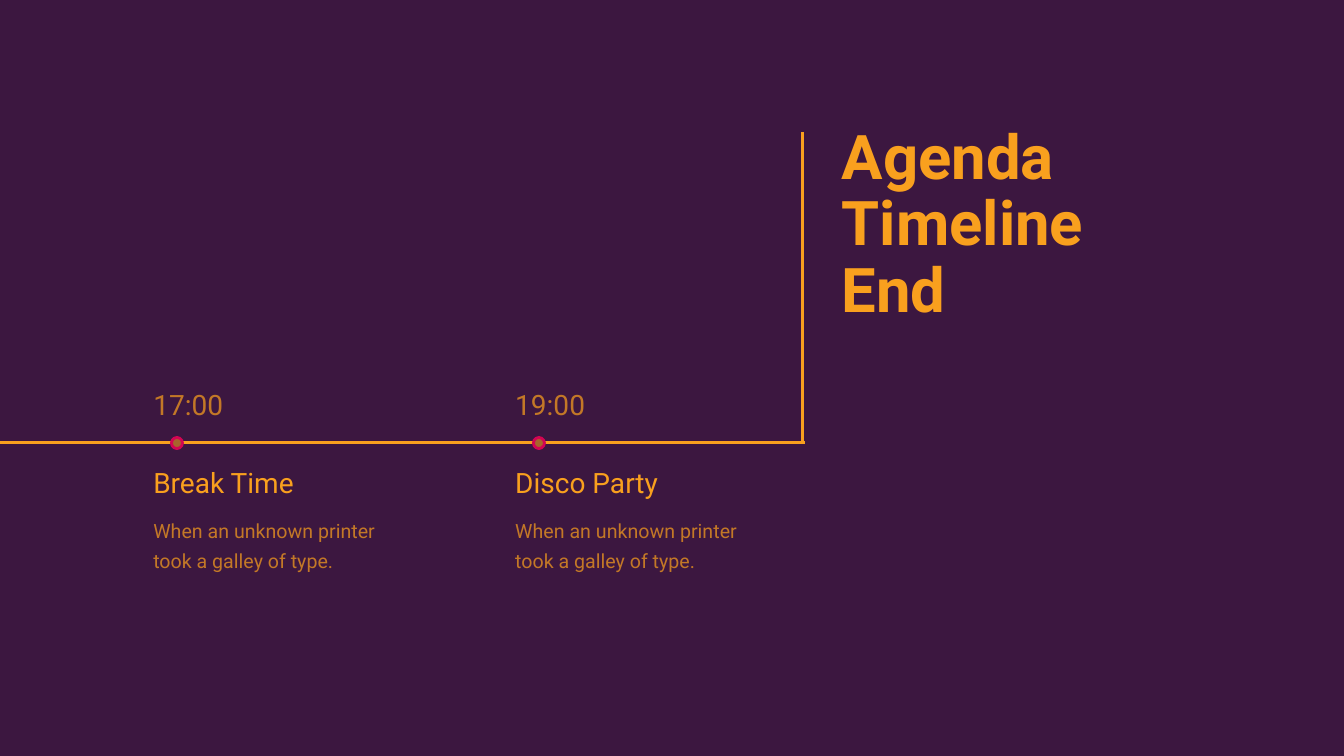
from dataclasses import dataclass

from lxml import etree
from pptx import Presentation
from pptx.dml.color import RGBColor
from pptx.enum import shapes, text
from pptx.oxml import ns
from pptx.util import Inches, Pt


@dataclass(frozen=True)
class Theme:
    font: str = "Roboto"
    background: str = "3C1740"
    accent: str = "F9A01E"
    muted: str = "C37827"
    dot_fill: str = "A8652C"
    dot_line: str = "D30553"
    title_size: int = 44
    heading_size: int = 20
    body_size: int = 14
    line_width: int = 2


def rgb(value):
    return RGBColor.from_string(value)


class SlideBuilder:
    def __init__(self, slide, theme):
        self.s = slide
        self.theme = theme
        fill = slide.background.fill
        fill.solid()
        fill.fore_color.rgb = rgb(theme.background)

    def line(self, x1, y1, x2, y2):
        c = self.s.shapes.add_connector(
            shapes.MSO_CONNECTOR.STRAIGHT,
            Inches(x1), Inches(y1), Inches(x2), Inches(y2))
        c.line.color.rgb = rgb(self.theme.accent)
        c.line.width = Pt(self.theme.line_width)
        etree.SubElement(c.line._get_or_add_ln().getparent(), ns.qn("a:effectLst"))

    def text_box(self, parent, x, y, w, h):
        tf = parent.add_textbox(Inches(x), Inches(y), Inches(w), Inches(h)).text_frame
        tf.word_wrap = True
        tf.auto_size = text.MSO_AUTO_SIZE.SHAPE_TO_FIT_TEXT
        tf.margin_left = tf.margin_right = Inches(0.05)
        tf.margin_top = tf.margin_bottom = Inches(0.05)
        return tf

    def style(self, p, size, color, spacing, bold=False):
        p.line_spacing = spacing
        for r in p.runs:
            r.font.name = self.theme.font
            r.font.size = Pt(size)
            r.font.bold = bold
            r.font.color.rgb = rgb(color)

    def title(self, words, x, y, w, h):
        tf = self.text_box(self.s.shapes, x, y, w, h)
        tf.text = "\n".join(words)
        for p in tf.paragraphs:
            self.style(p, self.theme.title_size, self.theme.accent, 0.9, bold=True)

    def dot(self, parent, x, y, size):
        sp = parent.add_shape(shapes.MSO_SHAPE.OVAL, Inches(x), Inches(y),
                              Inches(size), Inches(size))
        sp.shadow.inherit = False
        sp.fill.solid()
        sp.fill.fore_color.rgb = rgb(self.theme.dot_fill)
        sp.line.color.rgb = rgb(self.theme.dot_line)
        sp.line.width = Pt(self.theme.line_width)

    def event(self, x, time, heading, detail):
        """Group a time, its dot on the timeline and the description below."""
        th = self.theme
        parent = self.s.shapes.add_group_shape().shapes
        tf = self.text_box(parent, x, 4.67, 2.58, 1.04)
        tf.text = f"{heading}\n{detail}"
        head, body = tf.paragraphs
        self.style(head, th.heading_size, th.accent, Pt(17))
        self.style(body, th.body_size, th.muted, 1.25)
        body.space_before = Pt(10)

        tf = self.text_box(parent, x, 3.89, 2.02, 0.36)
        tf.text = time
        self.style(tf.paragraphs[0], th.heading_size, th.muted, Pt(17))
        self.dot(parent, x + 0.23, 4.34, 0.11)


def main():
    prs = Presentation()
    prs.slide_width, prs.slide_height = Inches(13.33), Inches(7.5)
    b = SlideBuilder(prs.slides.add_slide(prs.slide_layouts[6]), Theme())

    b.line(7.98, 4.39, 0, 4.39)
    b.title(["Agenda", "Timeline", "End"], 8.3, 1.2, 5.03, 2.12)
    b.line(7.96, 1.31, 7.96, 4.4)

    detail = "When an unknown printer took a galley of type."
    events = [("17:00", "Break Time"), ("19:00", "Disco Party")]
    for i, (time, heading) in enumerate(events):
        b.event(1.47 + i * 3.59, time, heading, detail)

    prs.save("out.pptx")


if __name__ == "__main__":
    main()
